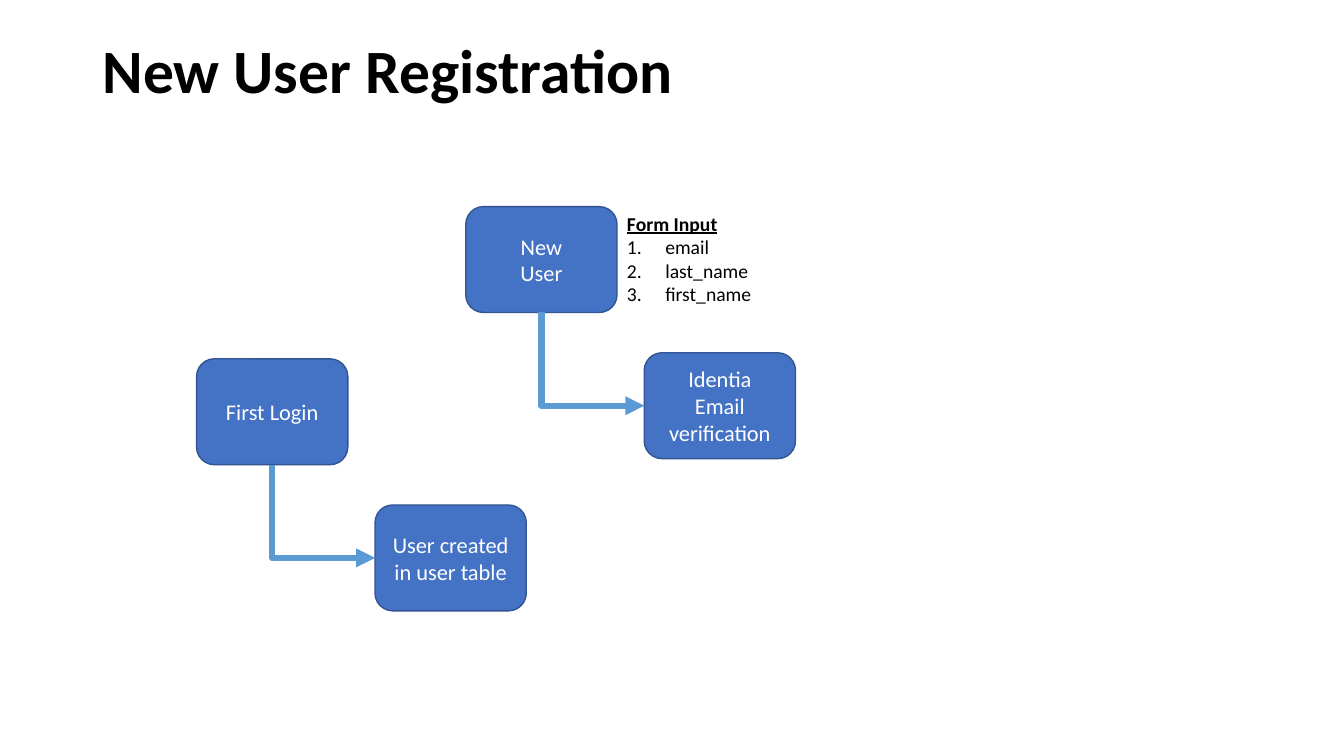
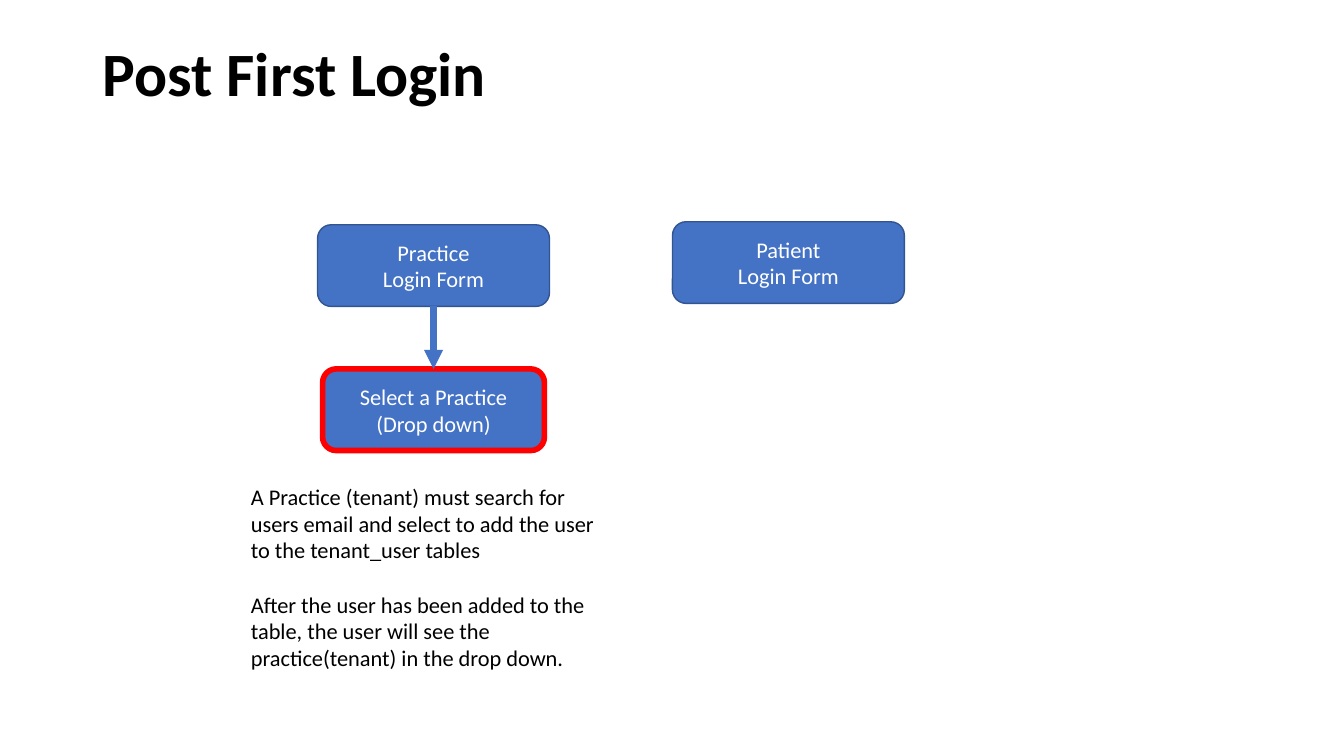
from lxml import etree
from pptx import Presentation
from pptx.dml.color import RGBColor
from pptx.enum.shapes import MSO_CONNECTOR, MSO_SHAPE
from pptx.enum.text import MSO_ANCHOR, PP_ALIGN
from pptx.oxml.ns import qn
from pptx.util import Emu, Pt

ROUNDED = MSO_SHAPE.ROUNDED_RECTANGLE
STRAIGHT, ELBOW = MSO_CONNECTOR.STRAIGHT, MSO_CONNECTOR.ELBOW
TOP, MIDDLE = MSO_ANCHOR.TOP, MSO_ANCHOR.MIDDLE
LEFT, CENTER = PP_ALIGN.LEFT, PP_ALIGN.CENTER
BOTTOM_SITE, TOP_SITE, LEFT_SITE = 2, 0, 1

PX = 9144
FONT = "Calibri"
COLORS = {
    "text": "000000",
    "box": "4472C4",
    "box_text": "FFFFFF",
    "outline": "325491",
    "highlight": "FF0000",
    "elbow": "5B9BD5",
}


def write_text(shape, text, size, color="text", align=LEFT, anchor=TOP, bold=False):
    frame = shape.text_frame
    frame.word_wrap = True
    frame.vertical_anchor = anchor
    frame.text = text
    for paragraph in frame.paragraphs:
        paragraph.alignment = align
        for run in paragraph.runs:
            run.font.name = FONT
            run.font.size = Pt(size)
            run.font.bold = bold
            run.font.color.rgb = RGBColor.from_string(COLORS[color])
    return frame.paragraphs


def add_text(slide, bounds, text, size, **style):
    shape = slide.shapes.add_textbox(*[Emu(value * PX) for value in bounds])
    return write_text(shape, text, size, **style)


presentation = Presentation()
presentation.slide_width = Emu(1333 * PX)
presentation.slide_height = Emu(750 * PX)
blank_layout = presentation.slide_layouts[6]

registration_boxes = {
    "new_user": (462, 205, 150, 105, "New\nUser", "outline", 1),
    "verification": (639, 350, 150, 105, "Identia\nEmail\nverification", "outline", 1),
    "user_created": (372, 501, 150, 105, "User created in user table", "outline", 1),
    "first_login": (195, 356, 150, 105, "First Login", "outline", 1),
}
login_boxes = {
    "practice": (315, 223, 230, 81, "Practice\nLogin Form", "outline", 1),
    "select": (320, 366, 220, 81, "Select a Practice\n(Drop down)", "highlight", 4),
    "patient": (667, 220, 230, 81, "Patient\nLogin Form", "outline", 1),
}
diagrams = [
    ("New User Registration", 0, registration_boxes,
     [("new_user", "verification", ELBOW, "elbow"),
      ("first_login", "user_created", ELBOW, "elbow")]),
    ("Post First Login", 3, login_boxes,
     [("practice", "select", STRAIGHT, "box")]),
]

slides = []
for title, title_top, boxes, arrows in diagrams:
    slide = presentation.slides.add_slide(blank_layout)
    slides.append(slide)
    title_paragraphs = add_text(slide, (92, title_top, 1150, 145), title, 44,
                                anchor=MIDDLE, bold=True)
    title_paragraphs[0].line_spacing = 0.9

    shapes = {}
    for name, (left, top, width, height, text, outline, weight) in boxes.items():
        bounds = [Emu(value * PX) for value in (left, top, width, height)]
        shape = slide.shapes.add_shape(ROUNDED, *bounds)
        shape.shadow.inherit = False
        shape.fill.solid()
        shape.fill.fore_color.rgb = RGBColor.from_string(COLORS["box"])
        shape.line.color.rgb = RGBColor.from_string(COLORS[outline])
        shape.line.width = Pt(weight)
        write_text(shape, text, 16, color="box_text", align=CENTER, anchor=MIDDLE)
        shapes[name] = shape

    for source, target, kind, color in arrows:
        connector = slide.shapes.add_connector(kind, 0, 0, 0, 0)
        connector.begin_connect(shapes[source], BOTTOM_SITE)
        connector.end_connect(shapes[target], LEFT_SITE if kind == ELBOW else TOP_SITE)
        connector.line.color.rgb = RGBColor.from_string(COLORS[color])
        connector.line.width = Pt(4.5)
        properties = connector._element.spPr
        line = properties.find(qn("a:ln"))
        etree.SubElement(line, qn("a:tailEnd"), type="triangle")
        etree.SubElement(properties, qn("a:effectLst"))
        if kind == ELBOW:
            across, down = connector.width, connector.height
            connector.left += (across - down) // 2
            connector.top += (down - across) // 2
            connector.width, connector.height = down, across
            transform = properties.find(qn("a:xfrm"))
            transform.set("rot", "16200000")
            transform.set("flipH", "1")
            properties.find(qn("a:prstGeom")).set("prst", "bentConnector2")

registration_slide, login_slide = slides

heading, *fields = add_text(registration_slide, (612, 205, 148, 104),
                            "Form Input\nemail\nlast_name\nfirst_name", 14)
heading.runs[0].font.bold = True
heading.runs[0].font.underline = True
for paragraph in fields:
    properties = paragraph._p.get_or_add_pPr()
    properties.set("marL", str(38 * PX))
    properties.set("indent", str(-38 * PX))
    etree.SubElement(properties, qn("a:buFont"), typeface="+mj-lt")
    etree.SubElement(properties, qn("a:buAutoNum"), type="arabicPeriod")

notes = add_text(
    login_slide, (239, 474, 373, 199),
    "A Practice (tenant) must search for users email and select to add the user "
    "to the tenant_user tables\n"
    "After the user has been added to the table, the user will see the "
    "practice(tenant) in the drop down.", 16)
notes[1].space_before = Pt(19.5)

presentation.save("out.pptx")
